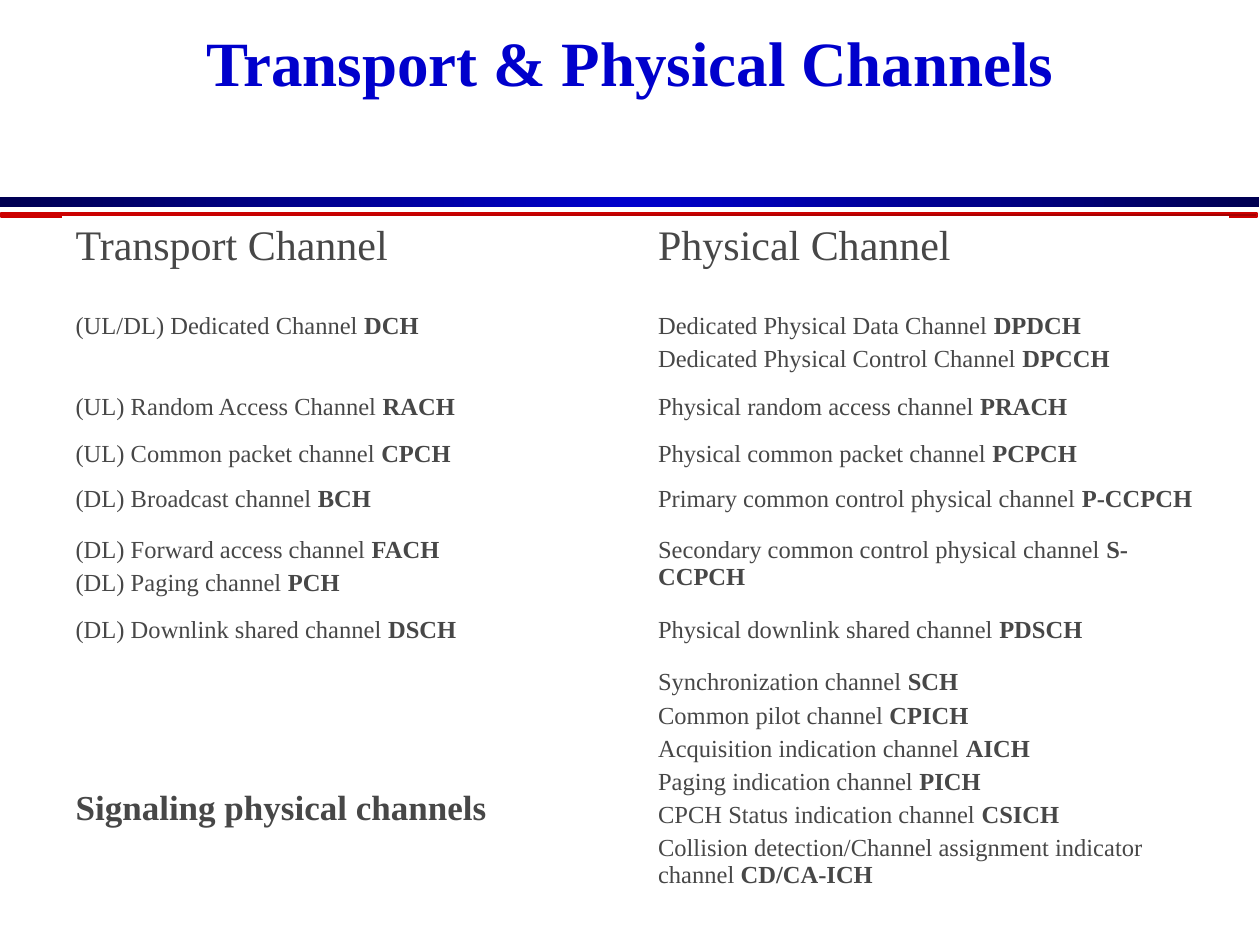
import copy

import lxml.etree
import pptx
import pptx.dml.color
import pptx.enum.shapes
import pptx.enum.text
import pptx.oxml.ns
import pptx.util

SCALE = 914400 / 126  # EMU in one px
FONT = "Times New Roman"
COLORS = {
    "title": "0000CC",
    "text": "474747",
    "navy": "000052",
    "red": "CC0000",
    "dark_red": "A30000",
    "border": "FFFFFF",
}
FORMATS = {
    "title": {"size": 36, "bold": True, "color": "title"},
    "heading": {"size": 24, "bold": False, "color": "text"},
    "channel": {"size": 14, "bold": False, "color": "text"},
    "abbreviation": {"size": 14, "bold": True, "color": "text"},
    "signaling": {"size": 20, "bold": True, "color": "text"},
}
HEADINGS = ["Transport Channel", "Physical Channel"]
SIGNALING = "Signaling physical channels"
# Row height, transport channels, physical channels; each ends in its abbreviation
CHANNEL_ROWS = [
    (81, ["(UL/DL) Dedicated Channel DCH"],
     ["Dedicated Physical Data Channel DPDCH",
      "Dedicated Physical Control Channel DPCCH"]),
    (47, ["(UL) Random Access Channel RACH"],
     ["Physical random access channel PRACH"]),
    (45, ["(UL) Common packet channel CPCH"],
     ["Physical common packet channel PCPCH"]),
    (51, ["(DL) Broadcast channel BCH"],
     ["Primary common control physical channel P-CCPCH"]),
    (81, ["(DL) Forward access channel FACH", "(DL) Paging channel PCH"],
     ["Secondary common control physical channel S-CCPCH"]),
    (52, ["(DL) Downlink shared channel DSCH"],
     ["Physical downlink shared channel PDSCH"]),
    (323, [],
     ["Synchronization channel SCH",
      "Common pilot channel CPICH",
      "Acquisition indication channel AICH",
      "Paging indication channel PICH",
      "CPCH Status indication channel CSICH",
      "Collision detection/Channel assignment indicator channel CD/CA-ICH"]),
]
HEADING_HEIGHT = 89


def px(length):
    return pptx.util.Emu(round(length * SCALE))


def rgb(name):
    return pptx.dml.color.RGBColor.from_string(COLORS[name])


def add_run(paragraph, text, style):
    run = paragraph.add_run()
    run.text = text
    look = FORMATS[style]
    values = {"name": FONT, "size": pptx.util.Pt(look["size"]), "bold": look["bold"]}
    for attribute, value in values.items():
        setattr(run.font, attribute, value)
    run.font.color.rgb = rgb(look["color"])


def place_title(slide, left, top, width, height):
    title = slide.shapes.title
    box = {"left": left, "top": top, "width": width, "height": height}
    for attribute, value in box.items():
        setattr(title, attribute, px(value))
    frame = title.text_frame
    frame_values = {
        "vertical_anchor": pptx.enum.text.MSO_ANCHOR.BOTTOM,
        "auto_size": pptx.enum.text.MSO_AUTO_SIZE.NONE,
        "word_wrap": True,
    }
    for attribute, value in frame_values.items():
        setattr(frame, attribute, value)
    heading = frame.paragraphs[0]
    heading.alignment = pptx.enum.text.PP_ALIGN.CENTER
    add_run(heading, "Transport & Physical Channels", "title")


def add_bar(slide, left, top, width, height, stop_colors):
    """Draw a horizontal bar whose gradient has evenly spaced stops."""
    bar = slide.shapes.add_shape(
        pptx.enum.shapes.MSO_SHAPE.RECTANGLE, px(left), px(top), px(width), px(height))
    bar.shadow.inherit = False
    bar.line.fill.background()
    bar.fill.gradient()
    bar.fill.gradient_angle = 0
    stop_list = bar._element.find(".//" + pptx.oxml.ns.qn("a:gsLst"))
    for _ in stop_colors[2:]:
        stop_list.append(copy.deepcopy(stop_list[-1]))
    for index, (stop, color) in enumerate(zip(bar.fill.gradient_stops, stop_colors)):
        stop.position = index / (len(stop_colors) - 1)
        stop.color.rgb = rgb(color)
    return bar


def place_divider(slide, left, top, width):
    add_bar(slide, left, top, width, 10, ["navy", "title", "navy"])
    red_bar = add_bar(slide, left + 1, top + 16, width - 3, 4, ["red", "dark_red"])
    red_bar.line.color.rgb = rgb("red")
    red_bar.line.width = pptx.util.Pt(1)


def set_borders(cell, widths):
    """Draw the cell's sides; widths maps L, R, T and B to points."""
    properties = cell._tc.get_or_add_tcPr()
    for side, width in widths.items():
        line = lxml.etree.SubElement(
            properties, pptx.oxml.ns.qn("a:ln" + side), w=str(pptx.util.Pt(width)))
        fill = lxml.etree.SubElement(line, pptx.oxml.ns.qn("a:solidFill"))
        lxml.etree.SubElement(
            fill, pptx.oxml.ns.qn("a:srgbClr"), val=COLORS["border"])


def fill_channels(cell, channels):
    frame = cell.text_frame
    for index, channel in enumerate(channels):
        paragraph = frame.add_paragraph() if index else frame.paragraphs[0]
        if index:
            paragraph.space_before = pptx.util.Pt(3.5)
        name, abbreviation = channel.rsplit(" ", 1)
        add_run(paragraph, name + " ", "channel")
        add_run(paragraph, abbreviation, "abbreviation")


def place_channel_table(slide, left, top, width):
    heights = [HEADING_HEIGHT] + [row[0] for row in CHANNEL_ROWS]
    table = slide.shapes.add_table(
        len(heights), 2, px(left), px(top), px(width), px(sum(heights))).table
    table.first_row = table.horz_banding = False
    for row, height in zip(table.rows, heights):
        row.height = px(height)

    last = len(heights) - 1
    for r in range(len(heights)):
        for c in range(2):
            cell = table.cell(r, c)
            outer = {"L": c == 0, "R": c == 1, "T": r == 0, "B": r == last}
            set_borders(cell, {side: 1.08 if edge else 0.45
                               for side, edge in outer.items()})
            cell.fill.background()

    for c, heading in enumerate(HEADINGS):
        add_run(table.cell(0, c).text_frame.paragraphs[0], heading, "heading")
    for r, (_, transport, physical) in enumerate(CHANNEL_ROWS, start=1):
        fill_channels(table.cell(r, 0), transport)
        fill_channels(table.cell(r, 1), physical)
    signaling = table.cell(last, 0)
    signaling.margin_top = px(126)
    add_run(signaling.text_frame.paragraphs[0], SIGNALING, "signaling")


def main():
    presentation = pptx.Presentation()
    presentation.slide_width, presentation.slide_height = px(1260), px(945)
    slide = presentation.slides.add_slide(presentation.slide_layouts[5])
    place_title(slide, 63, 38, 1134, 67)
    place_divider(slide, 0, 197, 1259)
    place_channel_table(slide, 63, 217, 1165)
    presentation.save("out.pptx")


if __name__ == "__main__":
    main()
